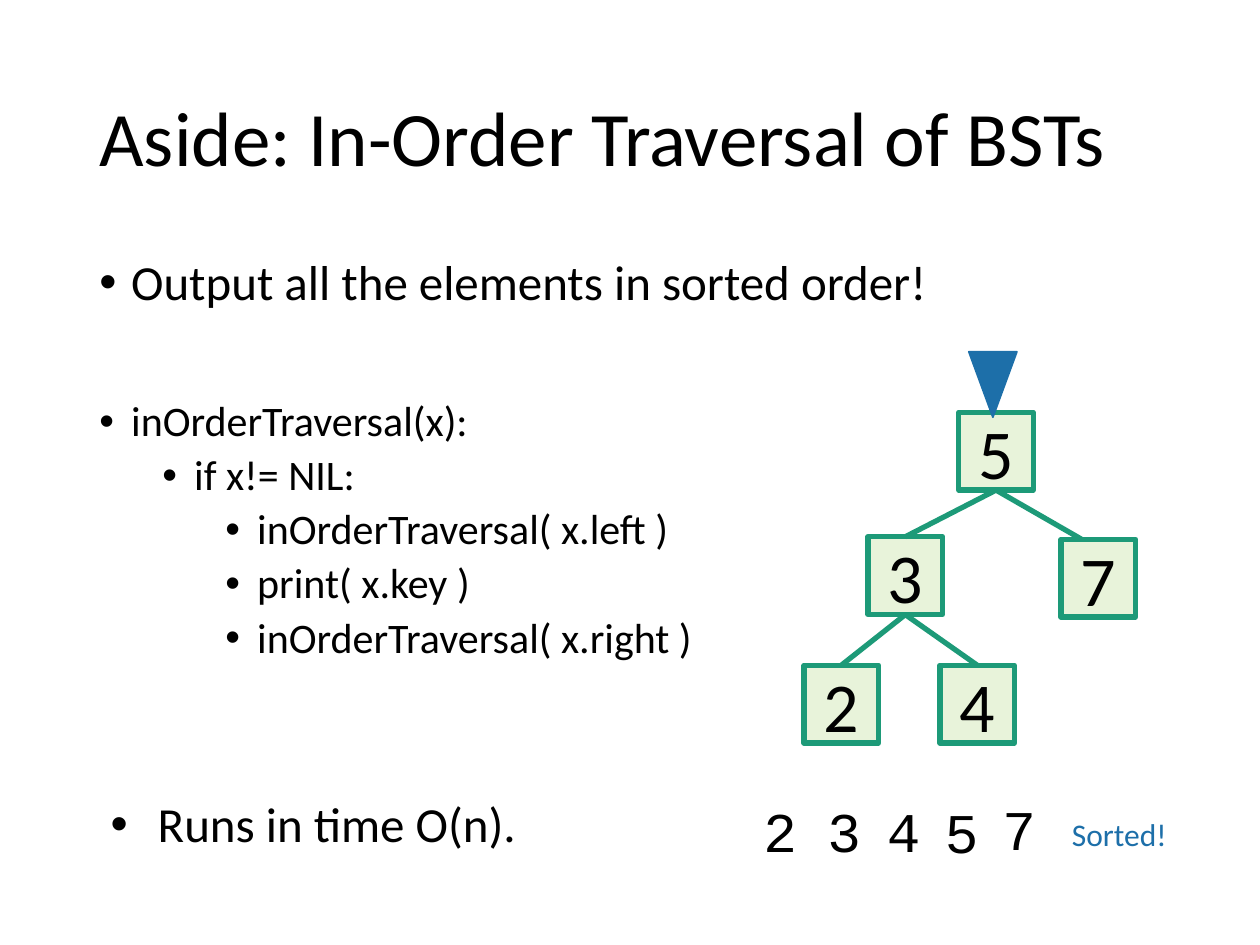
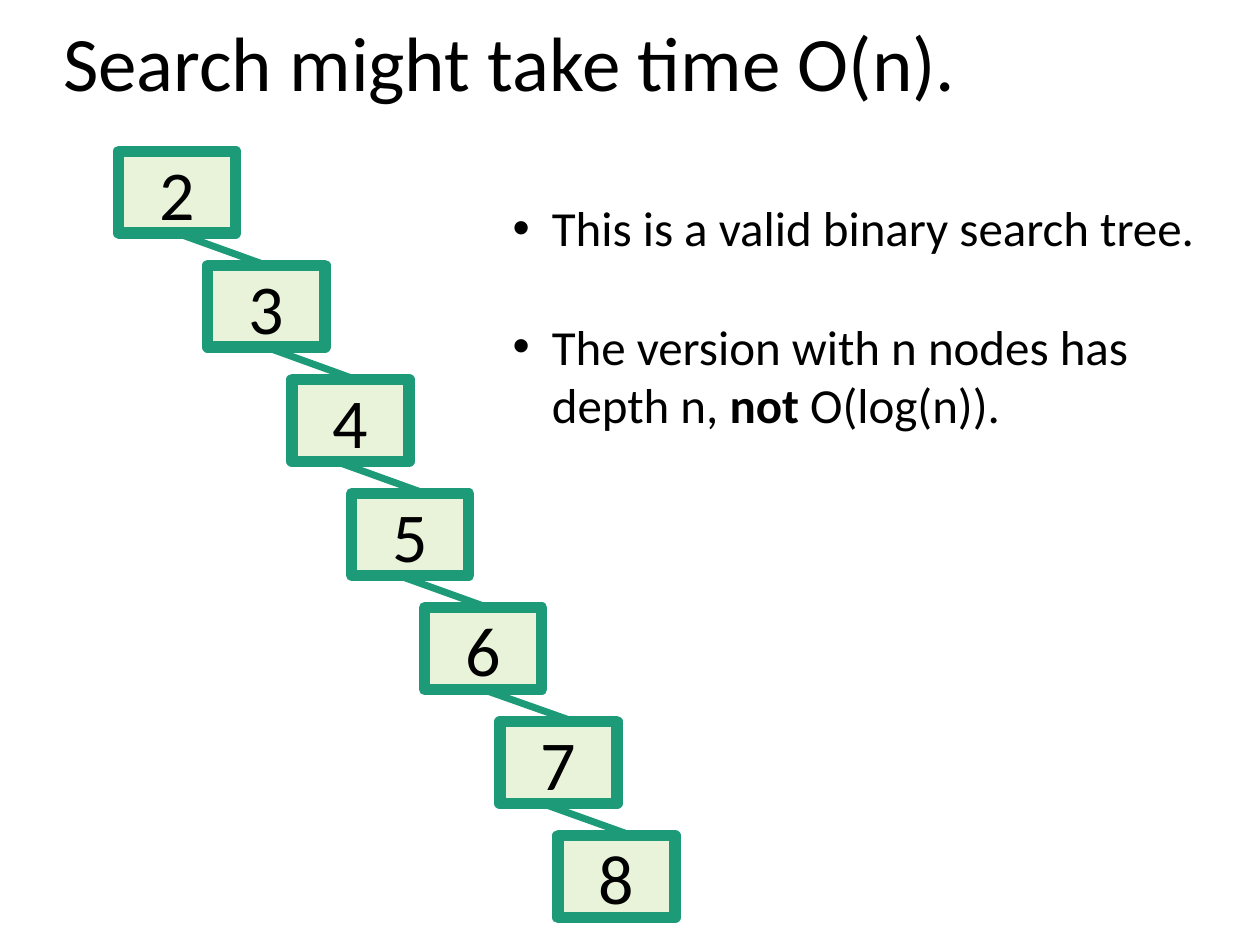
from dataclasses import dataclass

from lxml import etree
from pptx import Presentation
from pptx import util as u
from pptx.dml.color import RGBColor
from pptx.enum import shapes, text
from pptx.oxml.ns import qn


@dataclass(frozen=True)
class Theme:
    ink: str = "000000"
    node_fill: str = "E8F3DA"
    node_edge: str = "1D9A78"
    accent: str = "1D6FA9"
    font: str = "Calibri"
    mono: str = "Courier New"
    title: int = 44
    key: int = 40
    printed: int = 32
    body: int = 28
    code: int = 24
    note: int = 18
    tight: float = 0.9


THEME = Theme()
LEFT, CENTER = text.PP_ALIGN.LEFT, text.PP_ALIGN.CENTER
TOP, MIDDLE = text.MSO_ANCHOR.TOP, text.MSO_ANCHOR.MIDDLE

TRAVERSAL = {
    "title": "Aside: In-Order Traversal of BSTs",
    "title_at": (1.75, 1.02, 21.9, 3.68),
    "body_at": (1.75, 5.08, 21.9, 12.09),
    "body": [
        {"words": "Output all the elements in sorted order!"},
        {"words": "inOrderTraversal(x):", "size": THEME.code, "before": 51},
        {"words": "if x!= NIL:", "size": THEME.code, "before": 5, "level": 1},
        {"words": "inOrderTraversal( x.left )", "size": THEME.code, "before": 5, "level": 2},
        {"words": "print( x.key )", "size": THEME.code, "before": 5, "level": 2},
        {"words": "inOrderTraversal( x.right )", "size": THEME.code, "before": 5, "level": 2},
    ],
    "body_format": {"hang": 0.64, "spacing": THEME.tight},
    "node_size": (1.5, 1.57),
    "node_line": 3,
    "edge_line": 3,
    "nodes": {
        "5": (19.33, 8.31),
        "3": (17.5, 10.82),
        "7": (21.39, 10.87),
        "2": (16.21, 13.41),
        "4": (18.95, 13.41),
    },
    "edges": [("5", "3", 0, 0), ("5", "7", 0, -0.34), ("3", "2", 0, 0), ("3", "4", 0, 0)],
}
LINEAR = {
    "title": "Search might take time O(n).",
    "title_at": (1.02, 0.33, 21.9, 2.03),
    "body_at": (10.08, 3.86, 14.6, 5.05),
    "body": [
        {"words": "This is a valid binary search tree."},
        {
            "words": [("The version with n nodes has depth n, ", False), ("not", True), (" O(log(n)).", False)],
            "before": 34,
        },
    ],
    "body_format": {"hang": 0.79},
    "node_size": (2.36, 1.65),
    "node_line": 6.5,
    "edge_line": 4,
    "chain_top": 3.05,
    "chain_step": 2.3,
    "chain_lefts": {"2": 2.39, "3": 4.19, "4": 5.89, "5": 7.09, "6": 8.56, "7": 10.08, "8": 11.25},
    "edges": [
        ("2", "3", 0, 0),
        ("3", "4", 0, 0.1),
        ("4", "5", -0.3, 0.3),
        ("5", "6", -0.24, 0.1),
        ("6", "7", 0, 0.32),
        ("7", "8", -0.32, 0.32),
    ],
}
PRINTED_KEYS = [
    ("2", 15.14, 15.93),
    ("3", 16.43, 15.93),
    ("4", 17.63, 15.93),
    ("5", 18.8, 15.95),
    ("7", 19.96, 15.9),
]


def cm(*lengths):
    return [u.Cm(length) for length in lengths]


def colour(code):
    return RGBColor.from_string(code)


def write(frame, lines, size=THEME.body, font=THEME.font, ink=THEME.ink, align=LEFT,
          anchor=TOP, hang=0, spacing=1.0):
    frame.word_wrap = True
    frame.auto_size = text.MSO_AUTO_SIZE.NONE
    frame.vertical_anchor = anchor
    for index, line in enumerate([{"words": lines}] if isinstance(lines, str) else lines):
        paragraph = frame.add_paragraph() if index else frame.paragraphs[0]
        paragraph.level = line.get("level", 0)
        paragraph.alignment = align
        paragraph.line_spacing = spacing
        paragraph.space_before = u.Pt(line.get("before", 0))
        paragraph.space_after = u.Pt(0)
        if hang:
            properties = paragraph._p.get_or_add_pPr()
            properties.set("marL", str(u.Cm(hang + 1.27 * paragraph.level)))
            properties.set("indent", str(-u.Cm(hang)))
            etree.SubElement(properties, qn("a:buFont"), typeface="Arial")
            etree.SubElement(properties, qn("a:buChar"), char="•")
        words = line["words"]
        for part, bold in [(words, False)] if isinstance(words, str) else words:
            run = paragraph.add_run()
            run.text = part
            run.font.size = u.Pt(line.get("size", size))
            run.font.name = font
            run.font.bold = bold
            run.font.color.rgb = colour(ink)


def label(slide, place, lines, **style):
    write(slide.shapes.add_textbox(*cm(*place)).text_frame, lines, **style)


def filled(slide, preset, place, fill, edge, width):
    figure = slide.shapes.add_shape(preset, *cm(*place))
    figure.shadow.inherit = False
    figure.fill.solid()
    figure.fill.fore_color.rgb = colour(fill)
    figure.line.color.rgb = colour(edge)
    figure.line.width = u.Pt(width)
    return figure


def draw_tree(slide, content, nodes):
    boxes = {}
    for key, corner in nodes.items():
        boxes[key] = filled(slide, shapes.MSO_SHAPE.RECTANGLE, (*corner, *content["node_size"]),
                            THEME.node_fill, THEME.node_edge, content["node_line"])
        write(boxes[key].text_frame, key, size=THEME.key, align=CENTER, anchor=MIDDLE)
    for parent, child, start_shift, end_shift in content["edges"]:
        upper, lower = boxes[parent], boxes[child]
        edge = slide.shapes.add_connector(
            shapes.MSO_CONNECTOR.STRAIGHT,
            upper.left + upper.width // 2 + u.Cm(start_shift), upper.top + upper.height,
            lower.left + lower.width // 2 + u.Cm(end_shift), lower.top)
        if not start_shift:
            edge.begin_connect(upper, 2)
        if not end_shift:
            edge.end_connect(lower, 0)
        edge.line.color.rgb = colour(THEME.node_edge)
        edge.line.width = u.Pt(content["edge_line"])
        etree.SubElement(edge._element.spPr, qn("a:effectLst"))


def add_slide(deck, content):
    slide = deck.slides.add_slide(deck.slide_layouts[1])
    title, body = slide.placeholders
    for holder, place in ((title, content["title_at"]), (body, content["body_at"])):
        holder.left, holder.top, holder.width, holder.height = cm(*place)
    write(title.text_frame, content["title"], size=THEME.title, anchor=MIDDLE, spacing=THEME.tight)
    write(body.text_frame, content["body"], **content["body_format"])
    return slide


def build_traversal(deck):
    slide = add_slide(deck, TRAVERSAL)
    draw_tree(slide, TRAVERSAL, TRAVERSAL["nodes"])
    pointer = filled(slide, shapes.MSO_SHAPE.ISOSCELES_TRIANGLE, (19.53, 7.09, 0.97, 1.32),
                     THEME.accent, THEME.accent, 1)
    pointer.rotation = 180
    for key, left, top in PRINTED_KEYS:
        label(slide, (left, top, 1.09, 1.63), key, size=THEME.printed, font=THEME.mono)
    label(slide, (21.36, 16.31, 3.58, 1.02), "Sorted!", size=THEME.note, ink=THEME.accent)
    label(slide, (1.98, 15.88, 10.46, 1.45), "Runs in time O(n).", hang=0.95)


def build_linear(deck):
    slide = add_slide(deck, LINEAR)
    nodes = {key: (left, LINEAR["chain_top"] + depth * LINEAR["chain_step"])
             for depth, (key, left) in enumerate(LINEAR["chain_lefts"].items())}
    draw_tree(slide, LINEAR, nodes)


def main():
    deck = Presentation()
    deck.slide_width, deck.slide_height = cm(25.4, 19.05)
    build_traversal(deck)
    build_linear(deck)
    deck.save("out.pptx")


if __name__ == "__main__":
    main()
